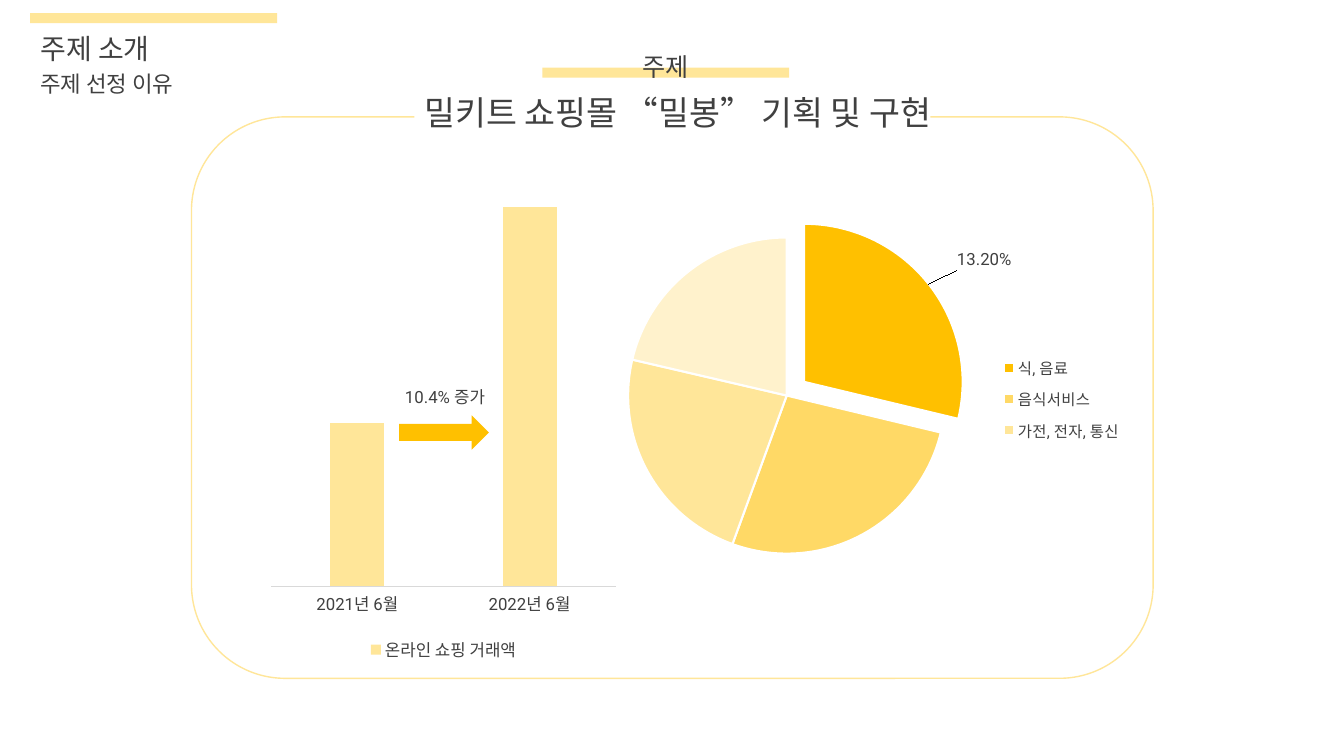
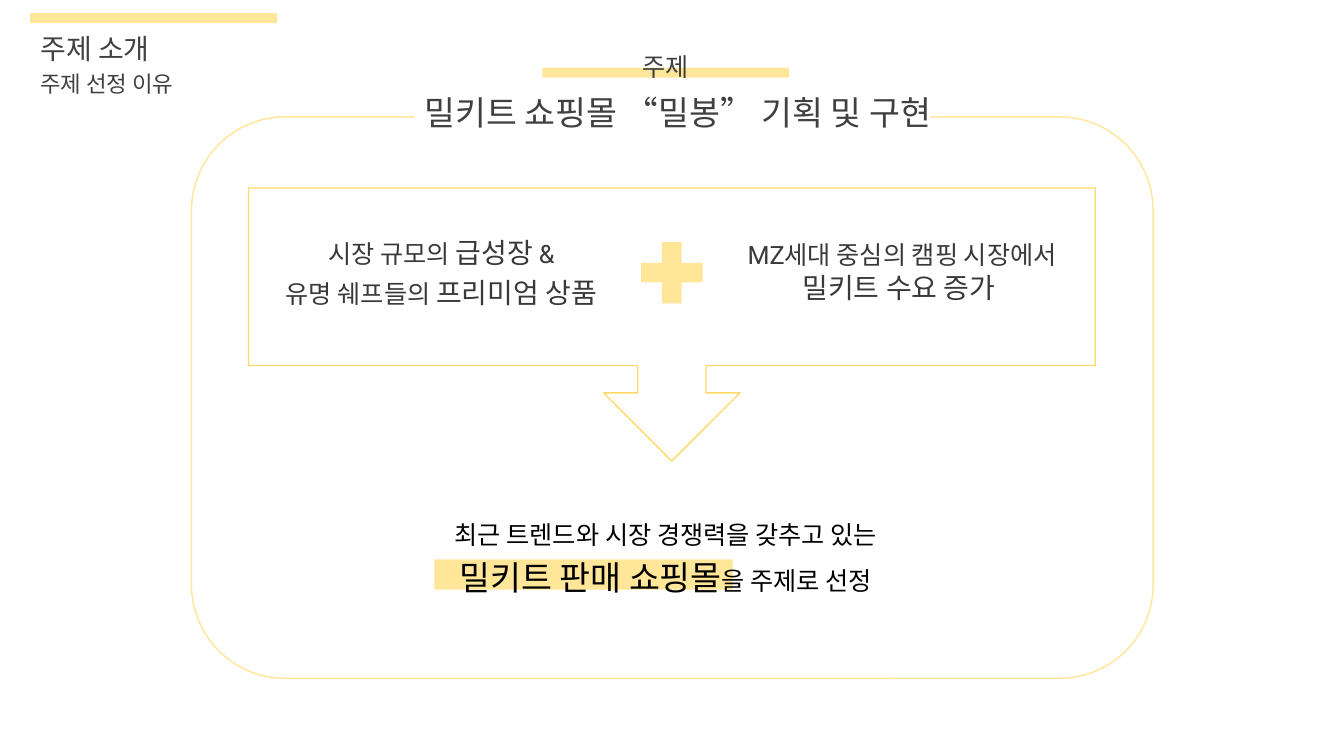
import functools

import pptx
import pptx.chart.data
import pptx.dml.color
import pptx.enum.chart
import pptx.enum.shapes
import pptx.enum.text
import pptx.oxml
import pptx.oxml.ns
import pptx.util

RGB = pptx.dml.color.RGBColor
WHITE = RGB(0xFF, 0xFF, 0xFF)
BLACK = RGB(0, 0, 0)
GREY = RGB(0x40, 0x40, 0x40)
DARK = RGB(0x3B, 0x38, 0x38)
RULE = RGB(0xD9, 0xD9, 0xD9)
PALE = RGB(0xFF, 0xF2, 0xCC)
CREAM = RGB(0xFF, 0xE6, 0x99)
HONEY = RGB(0xFF, 0xD9, 0x66)
GOLD = RGB(0xFF, 0xC0, 0x00)

FONT = "Roboto"
CELL = pptx.util.Inches(0.1)
COLS, ROWS = 133.33, 75
Pt = pptx.util.Pt
FORM = pptx.enum.shapes.MSO_SHAPE
KIND = pptx.enum.chart.XL_CHART_TYPE
SIDE = pptx.enum.chart.XL_LEGEND_POSITION
ALIGN = pptx.enum.text.PP_ALIGN
ANCHOR = pptx.enum.text.MSO_ANCHOR
FIT = pptx.enum.text.MSO_AUTO_SIZE


def apply(item, values):
    for key, value in values.items():
        *steps, last = key.split(".")
        setattr(functools.reduce(getattr, steps, item), last, value)


def grid(*cells):
    return [round(cell * CELL) for cell in cells]


def node(body):
    names = pptx.oxml.ns.nsdecls("c")
    tag, rest = body[1:].split(">", 1)
    slash = "/" if tag.endswith("/") else ""
    return pptx.oxml.parse_xml(f"<{tag.rstrip('/')} {names}{slash}>{rest}")


def layout(x, y, w=None, h=None, inner=False):
    parts = '<c:layoutTarget val="inner"/>' if inner else ""
    if w:
        parts += '<c:xMode val="edge"/><c:yMode val="edge"/>'
    for key, value in zip("xywh", (x, y, w, h)):
        if value is not None:
            parts += f'<c:{key} val="{value}"/>'
    return node(f"<c:layout><c:manualLayout>{parts}</c:manualLayout></c:layout>")


class Deck:
    def __init__(self):
        self.file = pptx.Presentation()
        apply(self.file, dict(zip(("slide_width", "slide_height"), grid(COLS, ROWS))))

    def font(self, font, size, color=GREY):
        apply(font, {"name": FONT, "size": Pt(size), "bold": False, "color.rgb": color})

    def place(self, item, box):
        apply(item, dict(zip(("left", "top", "width", "height"), grid(*box))))

    def letter(self, item, lines, color=GREY, align=ALIGN.LEFT, space=None,
               wrap=True, anchor=ANCHOR.TOP, hang=0):
        frame = item.text_frame
        apply(frame, {"word_wrap": wrap, "auto_size": FIT.NONE, "vertical_anchor": anchor})
        for index, line in enumerate(lines):
            para = frame.add_paragraph() if index else frame.paragraphs[0]
            apply(para, {"alignment": align, "line_spacing": space})
            if hang:
                props = para._p.get_or_add_pPr()
                props.set("marL", str(hang))
                props.set("indent", str(-hang))
            for text, size in line:
                run = para.add_run()
                run.text = text
                self.font(run.font, size, color)

    def text(self, box, lines, **style):
        item = self.slide.shapes.add_textbox(*grid(*box))
        self.letter(item, lines, **style)

    def shape(self, form, box, fill=None, line=None, turn=0):
        item = self.slide.shapes.add_shape(form, *grid(*box))
        apply(item, {"shadow.inherit": False, "rotation": turn})
        for part, color in ((item.fill, fill), (item.line.fill, line)):
            if color is None:
                part.background()
            else:
                part.solid()
                part.fore_color.rgb = color
        if line is not None:
            item.line.width = Pt(1)
        return item

    def bar(self, x, y, w=24.5, h=1):
        self.shape(FORM.RECTANGLE, (x, y, w, h), CREAM)

    def page(self):
        self.slide = self.file.slides.add_slide(self.file.slide_layouts[5])
        title = self.slide.shapes.title
        self.place(title, (3, 1, 14.4, 5.6))
        self.letter(title, [[("주제 소개", 20)]], space=1.5, wrap=False)
        self.bar(3, 1.3)
        self.text((3, 5.1, 28, 4.7), [[("주제 선정 이유", 16)]], space=1.5)
        self.shape(FORM.ROUNDED_RECTANGLE, (19, 11.6, 95.4, 55.7), line=CREAM)
        plate = self.shape(FORM.RECTANGLE, (41.1, 8.6, 51.2, 5), WHITE)
        self.letter(plate, [[("밀키트 쇼핑몰 “밀봉” 기획 및 구현", 24)]], wrap=False)
        self.bar(53.8, 6.7)
        self.text((53.3, 4.6, 25.4, 4), [[("주제", 18)]],
                  align=ALIGN.CENTER, anchor=ANCHOR.MIDDLE)

    def chart(self, kind, box, cats, name, vals, side, size, area):
        data = pptx.chart.data.CategoryChartData()
        data.categories = cats
        data.add_series(name, vals)
        chart = self.slide.shapes.add_chart(kind, *grid(*box), data).chart
        apply(chart, {"has_title": False, "has_legend": True,
                      "legend.position": side, "legend.include_in_layout": False})
        self.font(chart.font, size)
        self.font(chart.legend.font, size)
        plot = chart._chartSpace.xpath("c:chart/c:plotArea")[0]
        for old in plot.xpath("c:layout"):
            plot.remove(old)
        plot.insert(0, layout(*area, inner=True))
        return chart

    def columns(self, box, cats, name, vals, low, area):
        chart = self.chart(KIND.COLUMN_CLUSTERED, box, cats, name, vals,
                           SIDE.BOTTOM, 12, area)
        apply(chart.plots[0], {"gap_width": 219, "overlap": -27,
                               "vary_by_categories": False})
        fill = chart.plots[0].series[0].format.fill
        fill.solid()
        fill.fore_color.rgb = CREAM
        apply(chart.value_axis, {"visible": False, "has_major_gridlines": False,
                                 "minimum_scale": low, "maximum_scale": max(vals)})
        axis = chart.category_axis
        apply(axis, {"major_tick_mark": pptx.enum.chart.XL_TICK_MARK.NONE,
                     "format.line.color.rgb": RULE, "format.line.width": Pt(0.75)})
        self.font(axis.tick_labels.font, 12)

    def pie(self, box, cats, name, vals, colors, area, key):
        chart = self.chart(KIND.PIE, box, cats, name, vals, SIDE.RIGHT, 11, area)
        chart.plots[0].vary_by_categories = True
        series = chart.plots[0].series[0]
        for index, color in enumerate(colors):
            style = series.points[index].format
            style.fill.solid()
            apply(style, {"fill.fore_color.rgb": color,
                          "line.color.rgb": WHITE, "line.width": Pt(1.5)})
        series._element.xpath("c:dPt")[0].insert(1, node('<c:explosion val="14"/>'))
        series.data_labels.show_value = False
        label = series.points[0].data_label
        self.font(label.font, 12)
        label.position = pptx.enum.chart.XL_LABEL_POSITION.OUTSIDE_END
        mark = series._element.xpath("c:dLbls/c:dLbl")[0]
        mark.insert(1, layout(0.04, -0.03))
        mark.insert(2, node('<c:numFmt formatCode="0.00%" sourceLinked="0"/>'))
        legend = chart.legend._element
        legend.insert(1, node('<c:legendEntry><c:idx val="3"/><c:delete val="1"/></c:legendEntry>'))
        legend.insert(2, layout(*key))


def market(deck):
    deck.page()
    deck.columns((26.2, 16.6, 35.6, 49.5), ("2021년 6월", "2022년 6월"),
                 "온라인 쇼핑 거래액", (91, 100), 84.2, (0.02, 0.08, 0.96, 0.76))
    deck.shape(FORM.RIGHT_ARROW, (39.6, 41.2, 8.9, 3.4), GOLD)
    deck.text((38.7, 37.9, 10.9, 3), [[("10.4% 증가", 12)]],
              align=ALIGN.CENTER, wrap=False)
    deck.pie((57.5, 22.1, 58.7, 34.2),
             ("식, 음료", "음식서비스", "가전, 전자, 통신", "여행, 교통"),
             "Series 1", (0.132, 0.123, 0.106, 0.098), (GOLD, HONEY, CREAM, PALE),
             (0.08, 0.04, 0.54, 0.92), (0.71, 0.36, 0.21, 0.3))


def reason(deck):
    deck.page()
    mid = {"align": ALIGN.CENTER}
    hang = {**mid, "space": 1.2, "hang": pptx.util.Inches(0.41)}
    deck.bar(43.1, 55.5, 29.6, 3)
    deck.text((32.7, 50.4, 66.7, 9.5),
              [[(" 최근 트렌드와 시장 경쟁력을 갖추고 있는 ", 18)],
               [("밀키트 판매 쇼핑몰", 24), ("을 주제로 선정", 18)]],
              color=BLACK, **hang)
    deck.shape(FORM.RIGHT_ARROW_CALLOUT, (53.1, -9.8, 27.1, 84), line=HONEY, turn=90)
    deck.text((25.5, 22.2, 36.6, 9.1),
              [[("시장 규모의 ", 18), ("급성장", 20), (" &", 18)],
               [("유명 쉐프들의 ", 18), ("프리미엄 상품", 20)]],
              color=DARK, **hang)
    deck.shape(FORM.MATH_PLUS, (62.5, 22.9, 8.3, 8.3), CREAM)
    deck.text((67.1, 23.3, 44.8, 7.4),
              [[("MZ세대 중심의 캠핑 시장에서", 18)], [("밀키트 수요 증가 ", 20)]],
              color=DARK, **mid)


def main():
    deck = Deck()
    market(deck)
    reason(deck)
    deck.file.save("out.pptx")


if __name__ == "__main__":
    main()
